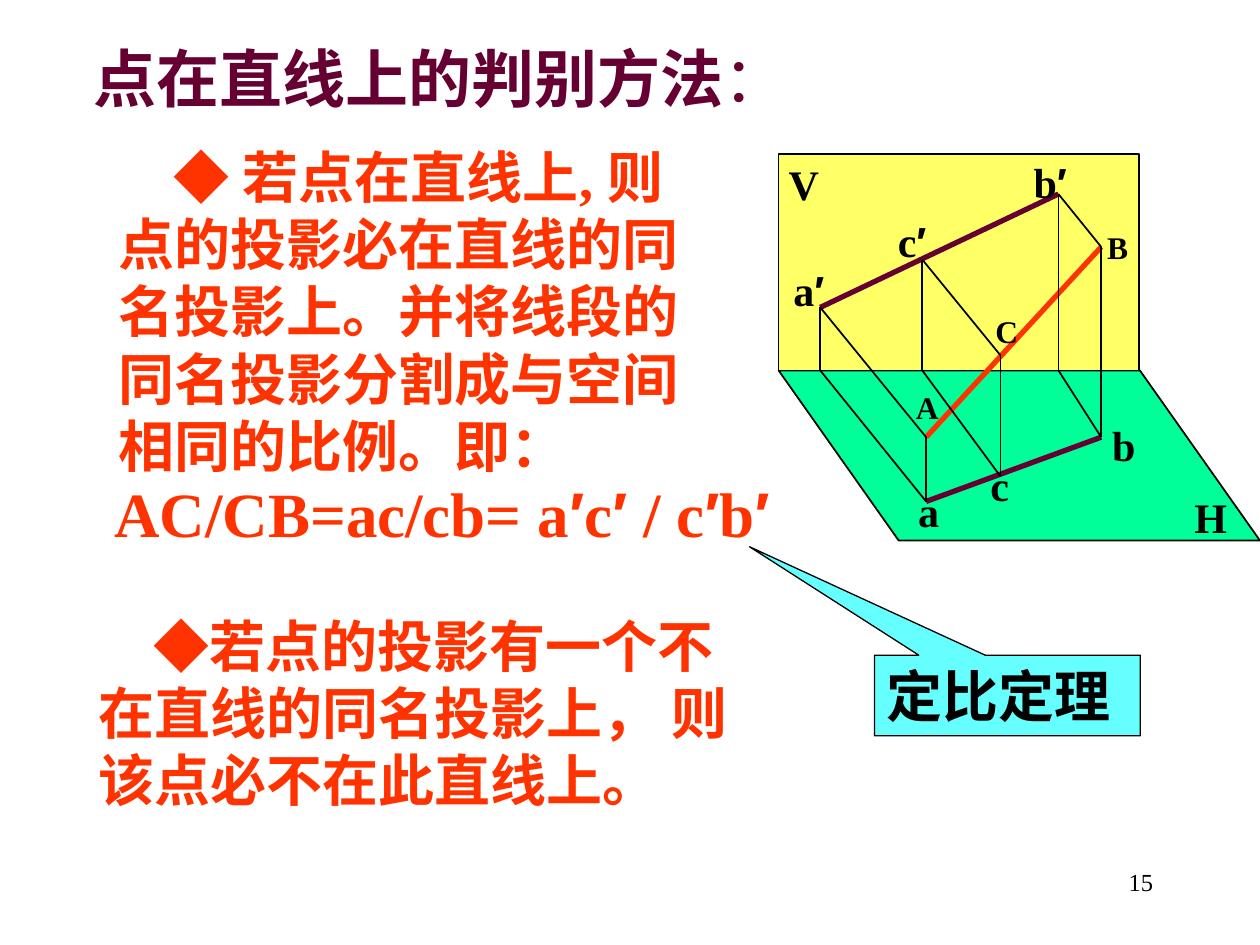
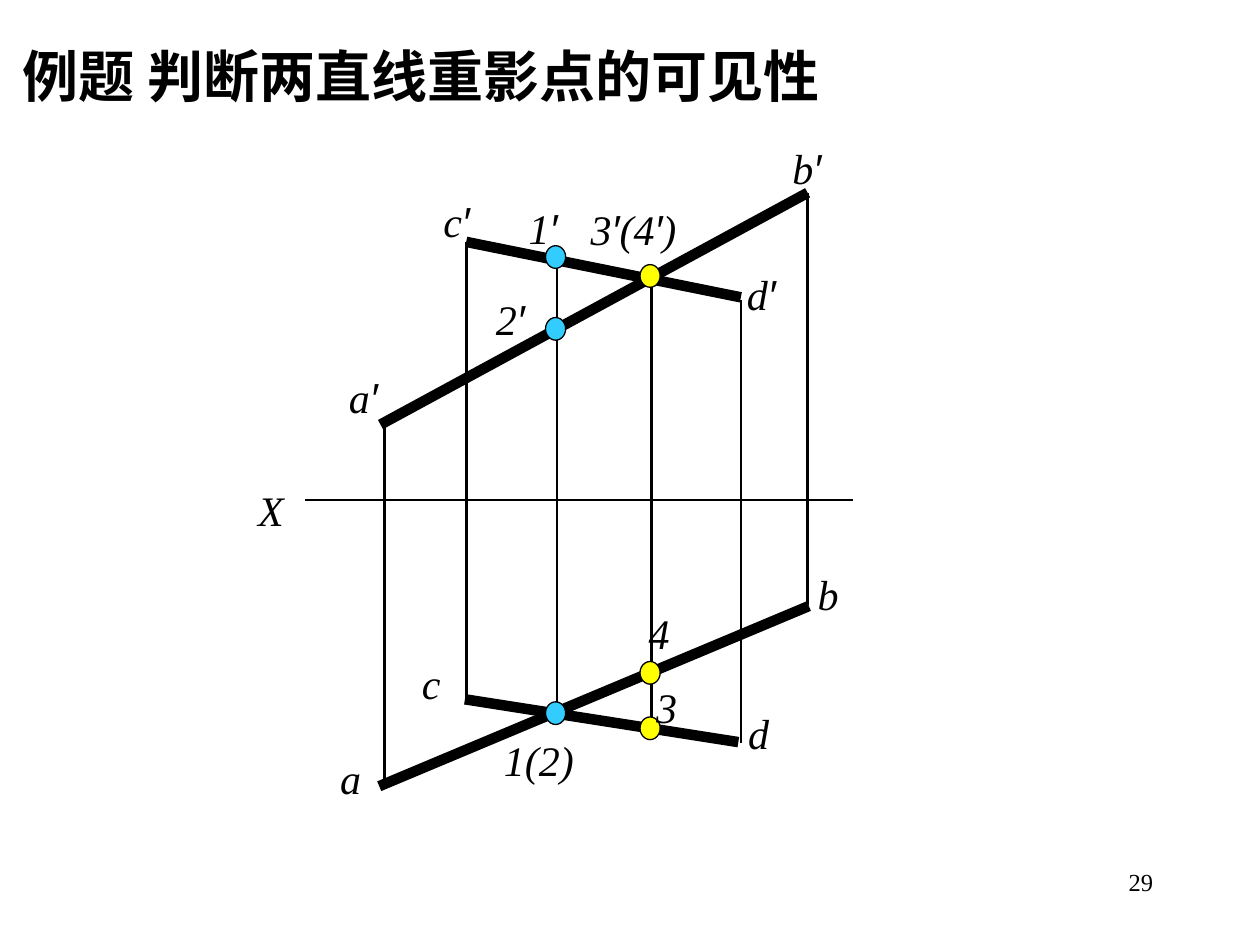
"""Build two slides on points and lines in orthographic projection."""
from itertools import groupby

from lxml.etree import SubElement
from pptx import Presentation
from pptx.dml.color import RGBColor
from pptx.enum.shapes import MSO_CONNECTOR, MSO_SHAPE
from pptx.enum.text import MSO_ANCHOR, MSO_AUTO_SIZE, PP_ALIGN
from pptx.oxml.ns import qn
from pptx.util import Inches, Pt

BLACK, PLUM, RED = "000000", "660033", "FF3300"
YELLOW, BLUE = "FFFF00", "33CCFF"
SERIF, CJK, PRIME = "Times New Roman", "Noto Sans CJK SC", "Arial"
LEFT, CENTER, RIGHT = PP_ALIGN.LEFT, PP_ALIGN.CENTER, PP_ALIGN.RIGHT
color = RGBColor.from_string


def write(shape, text, size, ink=BLACK, bold=False, italic=False,
          align=LEFT, anchor=MSO_ANCHOR.TOP, wrap=True, face=SERIF):
    frame = shape.text_frame
    frame.word_wrap, frame.vertical_anchor = wrap, anchor
    frame.auto_size = MSO_AUTO_SIZE.NONE
    para = frame.paragraphs[0]
    para.alignment, para.space_before = align, Pt(0)
    for prime, part in groupby(text, lambda mark: mark == "′"):
        run = para.add_run()
        run.text = "".join(part)
        font = run.font
        font.name = PRIME if prime else face
        font.size, font.bold, font.italic = Pt(size), bold, italic
        font.color.rgb = color(ink)


def rule(slide, start, end, width, ink=BLACK):
    line = slide.shapes.add_connector(
        MSO_CONNECTOR.STRAIGHT, *map(Inches, start + end))
    line.line.width, line.line.color.rgb = Pt(width), color(ink)
    SubElement(line._element.spPr, qn("a:effectLst"))


deck = Presentation()
deck.slide_width, deck.slide_height = Inches(10), Inches(7.5)
ratio = deck.slides.add_slide(deck.slide_layouts[3])
cross = deck.slides.add_slide(deck.slide_layouts[5])

for slide, page, text, at, size, ink, face in [
    (ratio, "15", "点在直线上的判别方法", (0.64, 0.26, 5.9, 0.7), 36, PLUM, SERIF),
    (cross, "29", "例题 判断两直线重影点的可见性", (0.08, 0.28, 9.9, 0.75), 32, BLACK, CJK),
]:
    title = slide.shapes.title
    title.left, title.top, title.width, title.height = map(Inches, at)
    anchor = MSO_ANCHOR.MIDDLE if slide is ratio else MSO_ANCHOR.TOP
    write(title, text, size, ink, bold=True, anchor=anchor, face=face)
    if slide is ratio:
        write(title, "：", size, ink, anchor=anchor)
    foot = slide.shapes.add_textbox(*map(Inches, (7.17, 6.83, 2.08, 0.5)))
    write(foot, page, 14, align=RIGHT)

for spot, text, at in [
    (1, "◆ 若点在直线上, 则点的投影必在直线的同名投影上。并将线段的同名投影分割成与空间相同的比例。即：",
     (0.84, 1.08, 4.87, 2.77)),
    (2, "◆若点的投影有一个不在直线的同名投影上， 则该点必不在此直线上。",
     (0.68, 4.8, 5.4, 1.7)),
]:
    body = ratio.placeholders[spot]
    body.left, body.top, body.width, body.height = map(Inches, at)
    props = body.text_frame.paragraphs[0]._p.get_or_add_pPr()
    props.set("marL", "0")
    props.set("indent", str(Inches(0.44)))
    SubElement(props, qn("a:buNone"))
    write(body, text, 32, RED, bold=True, anchor=MSO_ANCHOR.MIDDLE)

proof = ratio.shapes.add_textbox(*map(Inches, (0.81, 3.72, 5.8, 0.7)))
write(proof, "AC/CB=ac/cb= a′c′ / c′b′", 36, RED, bold=True, anchor=MSO_ANCHOR.MIDDLE)

panes = []
for kind, at, fill, width in [
    (MSO_SHAPE.PARALLELOGRAM, (6.18, 2.94, 3.82, 1.35), "00FF99", 1),
    (MSO_SHAPE.RECTANGLE, (6.18, 1.22, 2.86, 1.72), "FFFF66", 1),
    (MSO_SHAPE.RECTANGULAR_CALLOUT, (6.94, 5.2, 2.11, 0.64), "66FFFF", 0.75),
]:
    pane = ratio.shapes.add_shape(kind, *map(Inches, at))
    pane.shadow.inherit = False
    pane.fill.solid()
    pane.fill.fore_color.rgb = color(fill)
    pane.line.color.rgb, pane.line.width = color(BLACK), Pt(width)
    panes.append(pane)
floor, wall, note = panes
floor.adjustments[0] = 0.706
floor._element.spPr.xfrm.set("flipH", "1")
note.adjustments[0], note.adjustments[1] = -0.97, -1.844
write(note, "定比定理", 32, bold=True, anchor=MSO_ANCHOR.MIDDLE)

space = {
    "a′": (6.51, 2.44), "b′": (8.4, 1.54), "c′": (7.32, 2.06),
    "ax": (6.51, 2.94), "bx": (8.4, 2.94), "cx": (7.32, 2.94),
    "A": (7.35, 3.47), "B": (8.74, 1.96), "C": (7.94, 2.82),
    "a": (7.35, 3.98), "b": (8.74, 3.47), "c": (7.94, 3.78),
}
for start, end, ink in [("a′", "b′", PLUM), ("a", "b", PLUM), ("A", "B", RED)]:
    rule(ratio, space[start], space[end], 3, ink)
for low, high in ["aA", "bB", "cC"]:
    front, axis = low + "′", low + "x"
    for start, end in [(front, axis), (front, high), (high, low), (axis, low)]:
        rule(ratio, space[start], space[end], 1)

for text, x, y, width, size in [
    ("A", 7.17, 3.03, 0.38, 18), ("B", 8.69, 1.76, 0.36, 18),
    ("C", 7.8, 2.43, 0.38, 18), ("V", 6.16, 1.21, 0.44, 24),
    ("H", 9.38, 3.85, 0.46, 24), ("a", 7.19, 3.8, 0.36, 24),
    ("b", 8.73, 3.28, 0.38, 24), ("c", 7.76, 3.6, 0.35, 24),
    ("a′", 6.18, 2.05, 0.48, 24), ("b′", 8.09, 1.19, 0.49, 24),
    ("c′", 7.01, 1.66, 0.46, 24),
]:
    height = 0.4 if size == 18 else 0.5
    label = ratio.shapes.add_textbox(*map(Inches, (x, y, width, height)))
    write(label, text, size, bold=True, align=CENTER,
          anchor=MSO_ANCHOR.MIDDLE, wrap=False)

rule(cross, (2.42, 3.97), (6.77, 3.97), 1.5)
for x, top, base in [(3.05, 3.37, 6.23), (3.7, 1.92, 5.55), (4.42, 1.99, 5.67),
                     (5.17, 2.18, 5.76), (5.88, 2.38, 5.9), (6.41, 1.53, 4.8)]:
    rule(cross, (x, top), (x, base), 1.5)
for start, end in [((3.02, 3.37), (6.41, 1.53)), ((3.01, 6.24), (6.42, 4.81)),
                   ((3.69, 5.55), (5.86, 5.89)), ((3.7, 1.92), (5.88, 2.36))]:
    rule(cross, start, end, 6)

for x, fill, tops in [(5.08, YELLOW, (2.1, 5.25, 5.69)),
                      (4.33, BLUE, (1.95, 2.52, 5.57))]:
    for top in tops:
        dot = cross.shapes.add_shape(
            MSO_SHAPE.OVAL, *map(Inches, (x, top, 0.16, 0.18)))
        dot.shadow.inherit = False
        dot.fill.solid()
        dot.fill.fore_color.rgb = color(fill)
        dot.line.color.rgb, dot.line.width = color(BLACK), Pt(0.75)

for text, x, y, width, align in [
    ("a′", 2.67, 2.9, 0.84, LEFT), ("a", 2.6, 5.92, 1.05, LEFT),
    ("b′", 6.19, 1.08, 0.89, LEFT), ("b", 6.39, 4.46, 1.08, LEFT),
    ("c′", 3.42, 1.5, 0.84, LEFT), ("c", 3.25, 5.17, 0.84, LEFT),
    ("d′", 5.83, 2.08, 0.84, LEFT), ("d", 5.84, 5.57, 0.84, LEFT),
    ("X", 1.95, 3.8, 1.39, LEFT), ("3′(4′)", 4.59, 1.57, 1.46, LEFT),
    ("3", 5.11, 5.36, 0.42, LEFT), ("4", 5.05, 4.77, 0.42, LEFT),
    ("1′", 3.85, 1.56, 0.92, CENTER), ("2′", 3.65, 2.28, 0.8, CENTER),
    ("1(2)", 3.9, 5.78, 1.45, LEFT),
]:
    label = cross.shapes.add_textbox(*map(Inches, (x, y, width, 0.5)))
    write(label, text, 24, italic=True, align=align)

deck.save("out.pptx")
